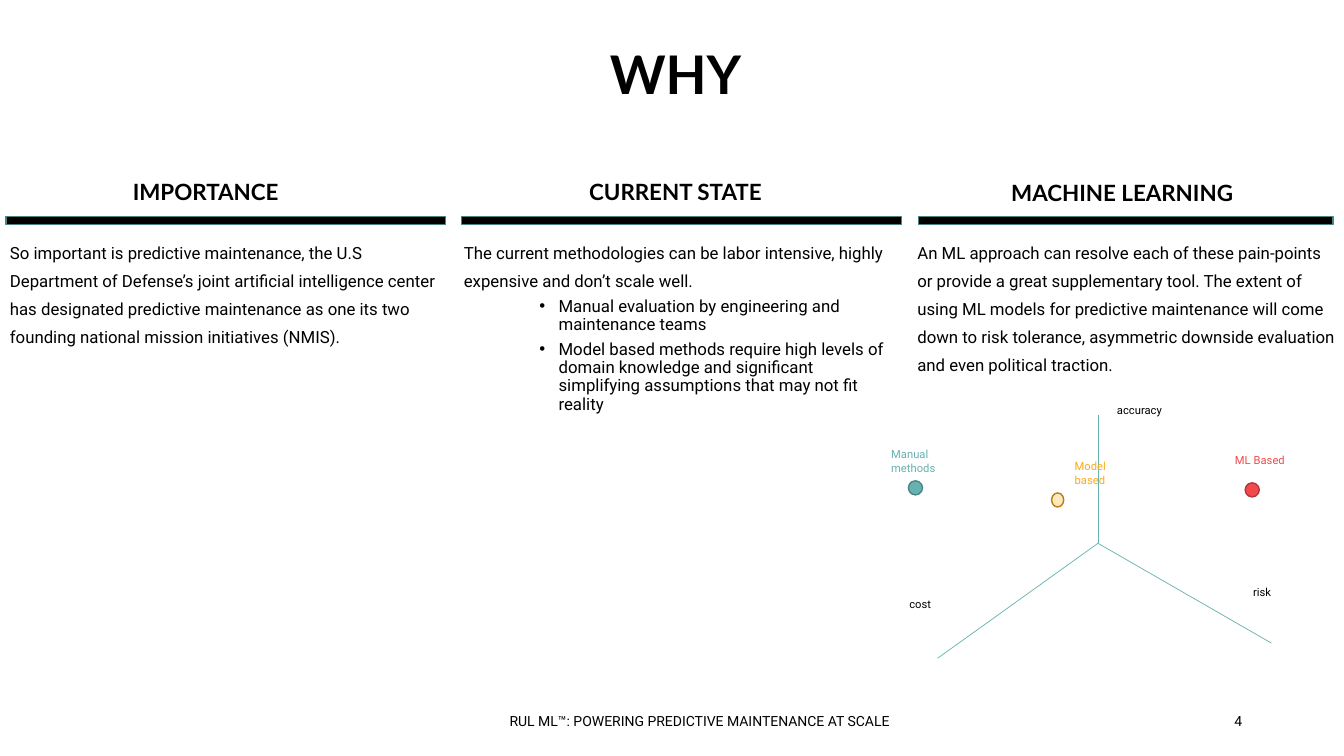
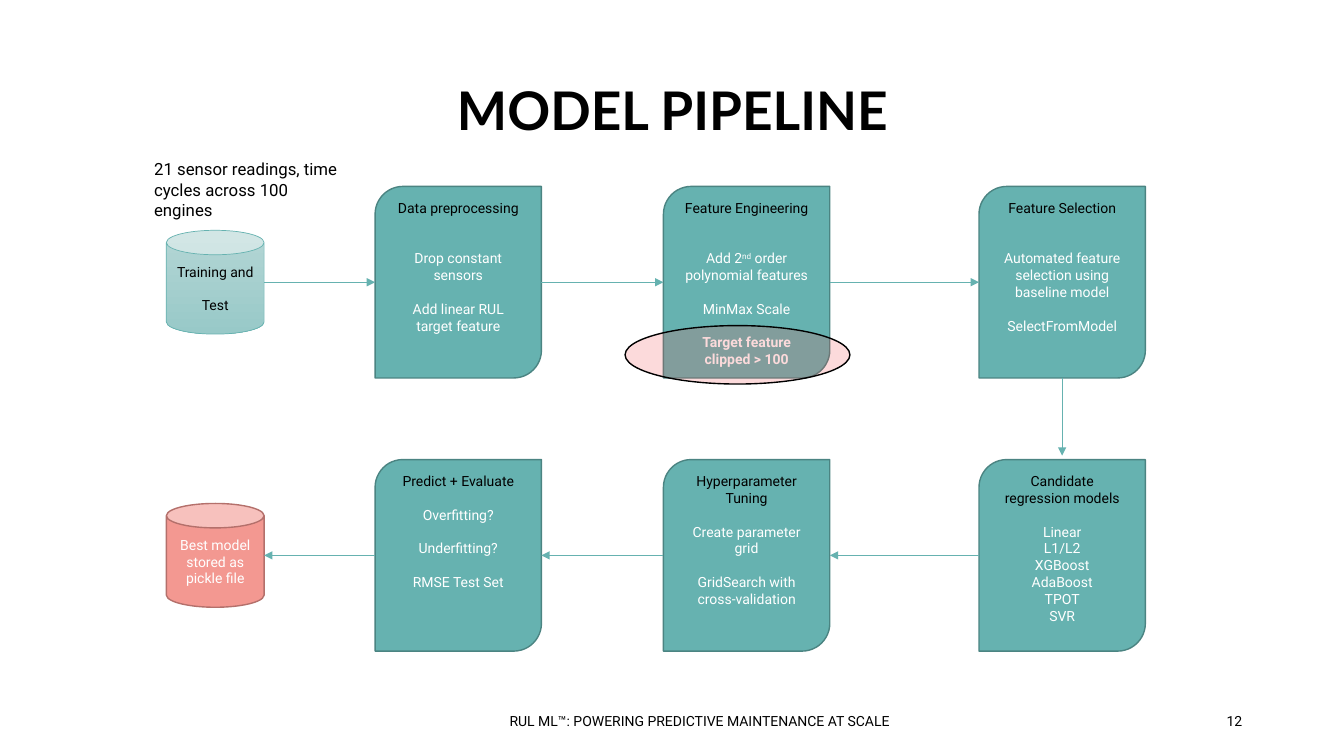
import pptx
import pptx.util
import pptx.dml.color
import pptx.enum.shapes
import pptx.enum.text
import pptx.oxml.ns
import lxml.etree

Inches, Pt = pptx.util.Inches, pptx.util.Pt
RGBColor = pptx.dml.color.RGBColor
SHAPE = pptx.enum.shapes.MSO_SHAPE
ALIGN = pptx.enum.text.PP_ALIGN
ANCHOR = pptx.enum.text.MSO_ANCHOR
qn = pptx.oxml.ns.qn

BLACK = RGBColor(0x00, 0x00, 0x00)
WHITE = RGBColor(0xFF, 0xFF, 0xFF)
TEAL = RGBColor(0x66, 0xB2, 0xB0)
DARK_TEAL = RGBColor(0x4B, 0x84, 0x82)
PALE_TEAL = RGBColor(0xB4, 0xD6, 0xD5)
SOFT_TEAL = RGBColor(0x98, 0xC9, 0xC8)
AMBER = RGBColor(0xF9, 0xAA, 0x19)
DARK_AMBER = RGBColor(0xB8, 0x7E, 0x12)
RED = RGBColor(0xF2, 0x49, 0x4C)
DARK_RED = RGBColor(0xB3, 0x36, 0x38)
SALMON = RGBColor(0xF3, 0x98, 0x91)
DARK_SALMON = RGBColor(0xB4, 0x70, 0x6B)

HEADING_FONT, BODY_FONT = "Lato", "Roboto"
FOOTER = "RUL ML™: POWERING PREDICTIVE MAINTENANCE AT SCALE"

PROSE = dict(size=12, line=Pt(20))
BULLET = dict(line=0.9, before=5, bullet=True)

IMPORTANCE = [
    "So important is predictive maintenance, the U.S Department of Defense’s joint "
    "artificial intelligence center has designated predictive maintenance as one its two "
    "founding national mission initiatives (NMIS).",
]
CURRENT_STATE = [
    "The current methodologies can be labor intensive, highly expensive and don’t scale well.",
    ("Manual evaluation by engineering and maintenance teams", BULLET),
    ("Model based methods require high levels of domain knowledge and significant "
     "simplifying assumptions that may not fit reality", BULLET),
]
MACHINE_LEARNING = [
    "An ML approach can resolve each of these pain-points",
    "or provide a great supplementary tool. The extent of",
    "using ML models for predictive maintenance will come",
    "down to risk tolerance, asymmetric downside evaluation",
    "and even political traction.",
]
COLUMNS = [
    ("IMPORTANCE", -0.21, 1.19, 0.06, 4.36, IMPORTANCE),
    ("CURRENT STATE", 4.45, 1.19, 4.58, 4.36, CURRENT_STATE),
    ("MACHINE LEARNING", 8.88, 1.2, 9.11, 4.11, MACHINE_LEARNING),
]
COLUMN_WIDTH = 4.5

AXES_HUB = (10.89, 5.39)
AXES = [
    ("accuracy", (10.89, 4.12), (10.98, 3.95)),
    ("cost", (9.3, 6.53), (8.92, 5.88)),
    ("risk", (12.61, 6.38), (12.33, 5.76)),
]
METHODS = [
    ("Manual methods", (8.74, 4.39, 0.82, 0.37), (9.01, 4.77, 0.14, 0.14), TEAL, DARK_TEAL, None),
    ("Model based", (10.56, 4.51, 0.82, 0.37), (10.43, 4.89, 0.12, 0.14), AMBER, DARK_AMBER, 28),
    ("ML Based", (12.15, 4.45, 0.82, 0.24), (12.35, 4.79, 0.14, 0.14), RED, DARK_RED, None),
]

GAP, WIDE_GAP = dict(before=12), dict(before=24)
STEPS = [
    (0, 0, "Data preprocessing", [
        ("Drop constant sensors", WIDE_GAP),
        ("Add linear RUL target feature", GAP)]),
    (1, 0, "Feature Engineering", [
        ("Add 2^nd^ order polynomial features", WIDE_GAP),
        ("MinMax Scale", GAP),
        ("Target feature clipped > 100", dict(before=12, bold=True))]),
    (2, 0, "Feature Selection", [
        ("Automated feature selection using baseline model", WIDE_GAP),
        ("SelectFromModel", GAP)]),
    (2, 1, "Candidate regression models", [
        ("Linear", GAP), "L1/L2", "XGBoost", "AdaBoost", "TPOT", "SVR"]),
    (1, 1, "Hyperparameter Tuning", [
        ("Create parameter grid", GAP),
        ("GridSearch with cross-validation", GAP)]),
    (0, 1, "Predict + Evaluate", [
        ("Overfitting?", GAP), ("Underfitting?", GAP), ("RMSE Test Set", GAP)]),
]
STEP_LEFTS, STEP_TOPS = (3.72, 6.58, 9.71), (1.85, 4.56)
STEP_WIDTH, STEP_HEIGHT = 1.65, 1.9
STORE_LEFT, STORE_WIDTH, STORE_HEIGHT = 1.65, 0.97, 1.03


def write(frame, paragraphs, anchor=ANCHOR.TOP, **shared):
    frame.word_wrap = True
    frame.auto_size = pptx.enum.text.MSO_AUTO_SIZE.NONE
    frame.vertical_anchor = anchor
    for index, item in enumerate(paragraphs):
        text, own = (item, {}) if isinstance(item, str) else item
        style = dict(size=10, font=BODY_FONT, color=BLACK, bold=False, align=ALIGN.LEFT,
                     line=1.0, before=0, bullet=False) | shared | own
        paragraph = frame.paragraphs[0] if index == 0 else frame.add_paragraph()
        paragraph.alignment = style["align"]
        paragraph.line_spacing = style["line"]
        paragraph.space_before = Pt(style["before"])
        paragraph.level = int(style["bullet"])
        properties = paragraph._p.get_or_add_pPr()
        properties.set("marL", str(Inches(0.94) if style["bullet"] else 0))
        properties.set("indent", str(Inches(-0.19) if style["bullet"] else 0))
        if style["bullet"]:
            lxml.etree.SubElement(properties, qn("a:buFont"), typeface="Arial")
            lxml.etree.SubElement(properties, qn("a:buChar"), char="•")
        else:
            lxml.etree.SubElement(properties, qn("a:buNone"))
        for position, part in enumerate(text.split("^")):
            run = paragraph.add_run()
            run.text = part
            run.font.size = Pt(style["size"])
            run.font.name = style["font"]
            run.font.bold = style["bold"]
            run.font.color.rgb = style["color"]
            if position % 2:
                run.font._element.set("baseline", "30000")


def place(shape, *box):
    shape.left, shape.top, shape.width, shape.height = map(Inches, box)
    return shape


def add_text(slide, box, paragraphs, **style):
    write(slide.shapes.add_textbox(*map(Inches, box)).text_frame, paragraphs, **style)


def add_shape(slide, kind, box, fill, outline, opacity=None, width=1):
    shape = slide.shapes.add_shape(kind, *map(Inches, box))
    shape.shadow.inherit = False
    if isinstance(fill, tuple) and not isinstance(fill, RGBColor):
        shape.fill.gradient()
        shape.fill.gradient_angle = 270
        for stop, color in zip(shape.fill.gradient_stops, fill):
            stop.color.rgb = color
    else:
        shape.fill.solid()
        shape.fill.fore_color.rgb = fill
    if opacity:
        color = shape.element.spPr.find(qn("a:solidFill"))[0]
        lxml.etree.SubElement(color, qn("a:alpha"), val=str(opacity * 1000))
    shape.line.color.rgb = outline
    shape.line.width = Pt(width)
    return shape


def add_line(slide, start, end, arrow=False):
    line = slide.shapes.add_connector(
        pptx.enum.shapes.MSO_CONNECTOR.STRAIGHT, *map(Inches, (*start, *end)))
    line.line.color.rgb = TEAL
    line.line.width = Pt(0.5)
    if arrow:
        lxml.etree.SubElement(line.line._get_or_add_ln(), qn("a:tailEnd"), type="triangle")
    lxml.etree.SubElement(line._element.spPr, qn("a:effectLst"))


def start_slide(deck, layout, title, title_box, number):
    slide = deck.slides.add_slide(deck.slide_layouts[layout])
    write(place(slide.shapes.title, *title_box).text_frame, [title], anchor=ANCHOR.MIDDLE,
          size=38, font=HEADING_FONT, bold=True, align=ALIGN.CENTER, line=0.9)
    for text, left, width in ((FOOTER, 4.42, 4.5), (number, 9.42, 3)):
        add_text(slide, (left, 6.95, width, 0.4), [text], anchor=ANCHOR.MIDDLE, align=ALIGN.RIGHT)
    return slide


def build_why(deck):
    slide = start_slide(deck, 1, "WHY", (4.45, 0.04, 4.5, 1.45), "4")
    for index, (heading, left, top, bar_left, bar_width, prose) in enumerate(COLUMNS):
        box = (index * COLUMN_WIDTH, 2.28, COLUMN_WIDTH, 3.04)
        if prose is CURRENT_STATE:
            write(place(slide.placeholders[1], *box).text_frame, prose, **PROSE)
        else:
            add_text(slide, box, prose, **PROSE)
        add_shape(slide, SHAPE.RECTANGLE, (bar_left, 2.15, bar_width, 0.08), BLACK, DARK_TEAL)
        add_text(slide, (left, top, COLUMN_WIDTH, 1.45), [heading], anchor=ANCHOR.MIDDLE,
                 size=16, font=HEADING_FONT, bold=True, align=ALIGN.CENTER, line=0.9)
    for label, end, corner in AXES:
        add_line(slide, AXES_HUB, end)
        add_text(slide, (*corner, 0.78, 0.24), [label], size=8)
    for label, label_box, dot_box, color, outline, opacity in METHODS:
        add_shape(slide, SHAPE.OVAL, dot_box, color, outline, opacity)
        add_text(slide, label_box, [label], size=8, color=color)


def add_store(slide, row, paragraphs, fill, outline, width, color):
    top = STEP_TOPS[row] + (STEP_HEIGHT - STORE_HEIGHT) / 2
    store = add_shape(slide, SHAPE.CAN, (STORE_LEFT, top, STORE_WIDTH, STORE_HEIGHT),
                      fill, outline, width=width)
    write(store.text_frame, paragraphs, anchor=ANCHOR.MIDDLE, align=ALIGN.CENTER, color=color)
    return STORE_LEFT, STORE_WIDTH, row


def build_pipeline(deck):
    slide = start_slide(deck, 5, "MODEL PIPELINE", (0.92, 0.4, 11.5, 1.45), "12")
    stops = [add_store(slide, 0, ["Training and", ("Test", GAP)],
                       (PALE_TEAL, SOFT_TEAL), TEAL, 0.5, BLACK)]
    for column, row, heading, details in STEPS:
        left = STEP_LEFTS[column]
        card = add_shape(slide, SHAPE.ROUND_2_DIAG_RECTANGLE,
                         (left, STEP_TOPS[row], STEP_WIDTH, STEP_HEIGHT), TEAL, DARK_TEAL)
        write(card.text_frame, [(heading, dict(color=BLACK)), *details],
              align=ALIGN.CENTER, color=WHITE)
        stops.append((left, STEP_WIDTH, row))
    stops.append(add_store(slide, 1, ["Best model stored as pickle file"],
                           SALMON, DARK_SALMON, 1, WHITE))

    for (left, width, row), (next_left, next_width, next_row) in zip(stops, stops[1:]):
        middle = STEP_TOPS[row] + STEP_HEIGHT / 2
        if row != next_row:
            center = left + width / 2
            start = (center, STEP_TOPS[row] + STEP_HEIGHT)
            end = (center, STEP_TOPS[next_row] - 0.04)
        elif left < next_left:
            start, end = (left + width, middle), (next_left, middle)
        else:
            start, end = (left, middle), (next_left + next_width, middle)
        add_line(slide, start, end, arrow=True)

    add_shape(slide, SHAPE.OVAL, (6.2, 3.23, 2.23, 0.58), RED, BLACK, opacity=20)
    add_text(slide, (1.43, 1.53, 2.02, 0.71),
             ["21 sensor readings, time cycles across 100 engines"], size=12)


def main():
    deck = pptx.Presentation()
    deck.slide_width, deck.slide_height = Inches(13.33), Inches(7.5)
    build_why(deck)
    build_pipeline(deck)
    deck.save("out.pptx")


if __name__ == "__main__":
    main()
